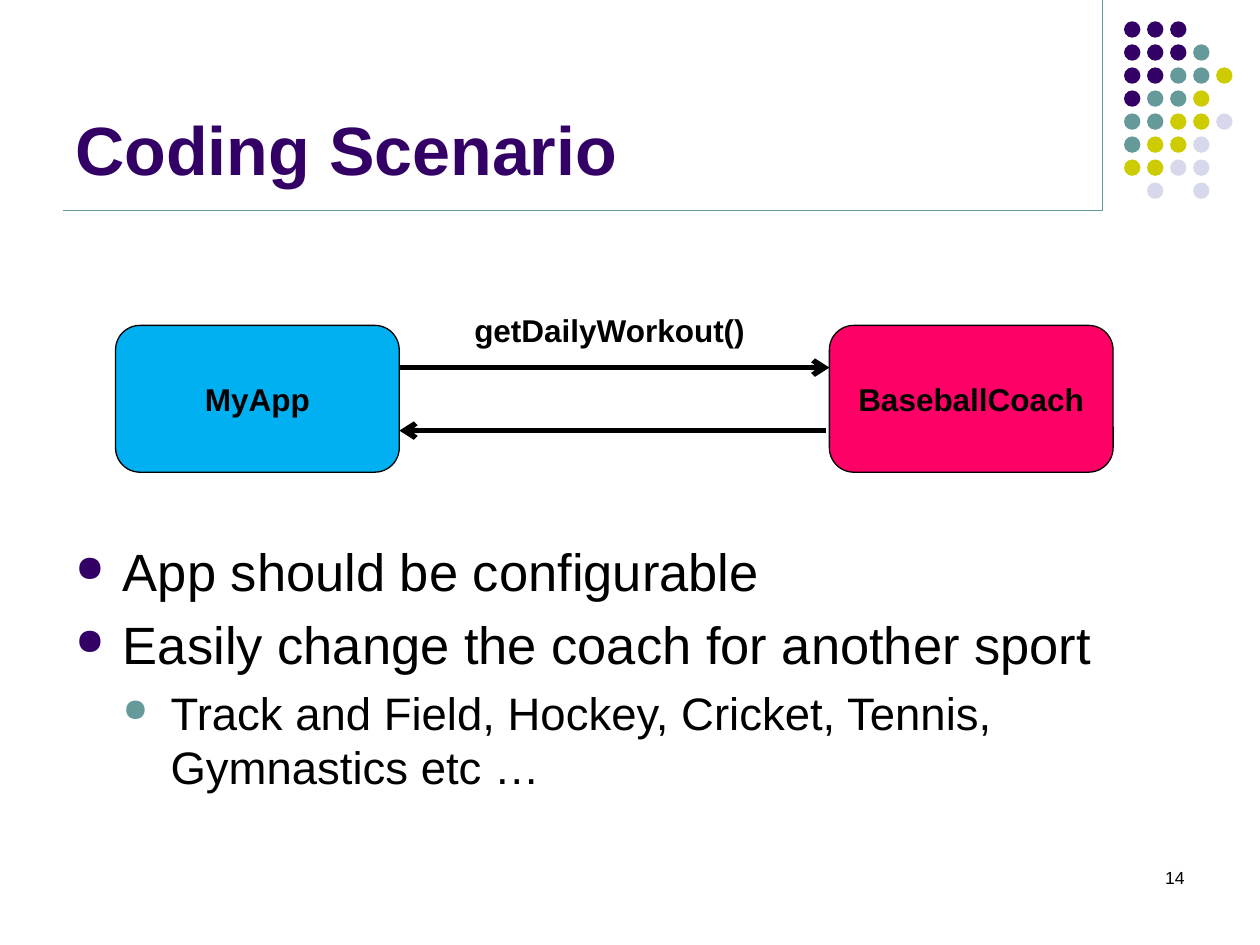
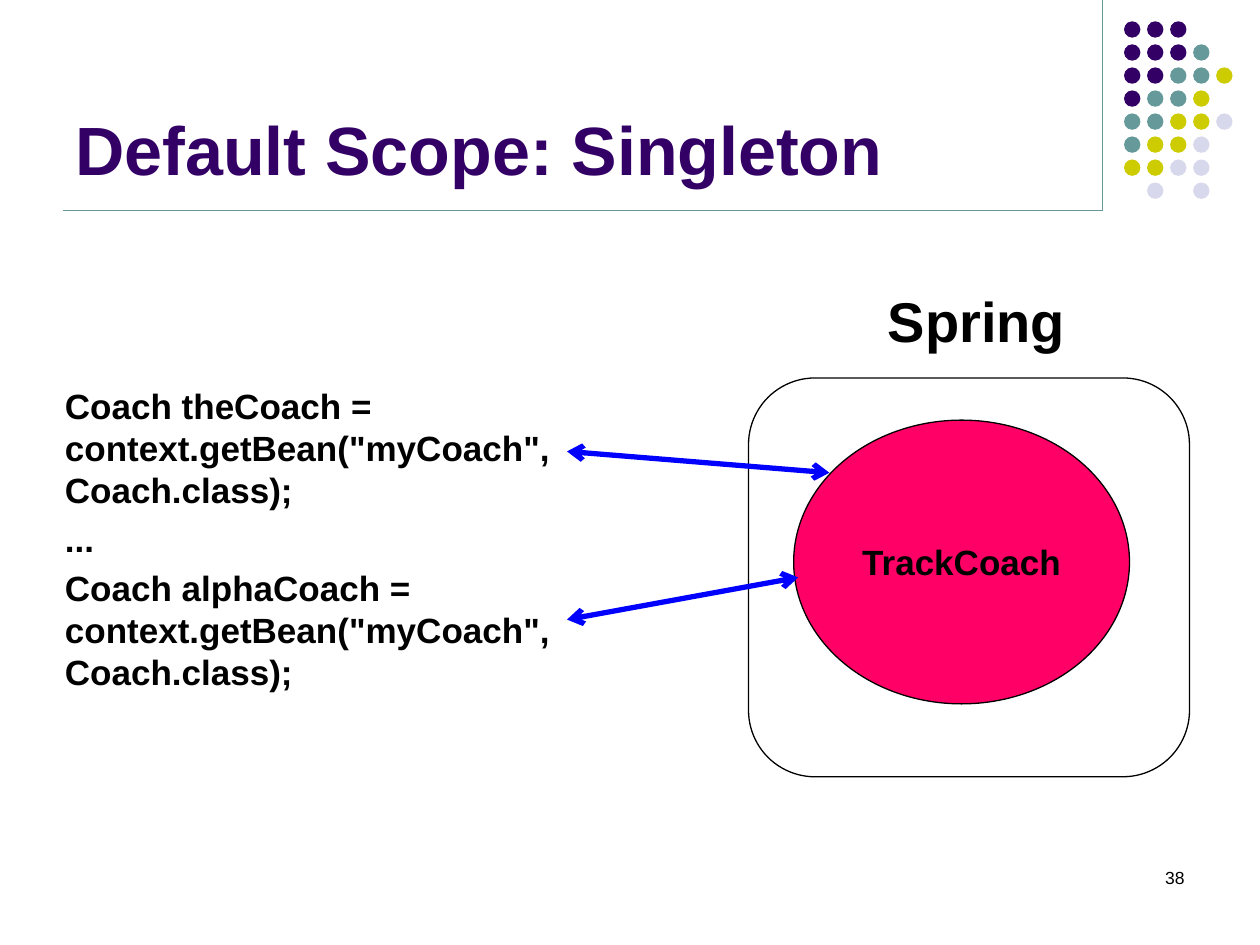
from lxml import etree
from pptx import Presentation
from pptx.dml.color import RGBColor
from pptx.enum.shapes import MSO_CONNECTOR, MSO_SHAPE
from pptx.enum.text import MSO_ANCHOR, PP_ALIGN
from pptx.oxml.ns import qn
from pptx.util import Cm, Pt

STRAIGHT = MSO_CONNECTOR.STRAIGHT
OVAL, ROUNDED = MSO_SHAPE.OVAL, MSO_SHAPE.ROUNDED_RECTANGLE
TOP, MIDDLE, BOTTOM = MSO_ANCHOR.TOP, MSO_ANCHOR.MIDDLE, MSO_ANCHOR.BOTTOM
LEFT, CENTER, RIGHT = PP_ALIGN.LEFT, PP_ALIGN.CENTER, PP_ALIGN.RIGHT

FONT = "Arial"
COLORS = {
    "purple": "330066",
    "teal": "669999",
    "olive": "CCCC00",
    "lavender": "D8D8EC",
    "black": "000000",
    "sky": "00B0F0",
    "pink": "FF0066",
    "blue": "0000FF",
}

# Frame and dot pattern shared by the slides
FRAME_LEFT, FRAME_RIGHT, FRAME_BOTTOM = 1.27, 22.23, 4.24
DOT_ROWS = ["PPP", "PPPT", "PPTTO", "PTTO", "TTOOL", "TOOL", "OOLL", " L L"]
DOT_COLORS = {"P": "purple", "T": "teal", "O": "olive", "L": "lavender"}
DOT_LEFT, DOT_TOP, DOT_SIZE = 22.66, 0.43, 0.33
DOT_PITCH = 3.25 / 7

# Bullet levels: text size, bullet colour
BULLET_LEVELS = [(30, "purple"), (26, "teal")]
BULLET_INDENT = 0.96


def rgb(name):
    return RGBColor.from_string(COLORS[name])


def style_paragraph(paragraph, size, color="black", bold=False, align=LEFT):
    paragraph.alignment = align
    font = paragraph.font
    font.name, font.size, font.bold = FONT, Pt(size), bold
    font.color.rgb = rgb(color)


def add_text(slide, box, lines, size, color="black", bold=False,
             align=LEFT, anchor=TOP):
    """Add a text box with one paragraph per line, spaced by a fifth."""
    shape = slide.shapes.add_textbox(*map(Cm, box))
    frame = shape.text_frame
    frame.word_wrap = True
    frame.vertical_anchor = anchor
    frame.text = "\n".join(lines)
    for index, paragraph in enumerate(frame.paragraphs):
        style_paragraph(paragraph, size, color, bold, align)
        if index:
            paragraph.space_before = Pt(size * 0.2)
    return shape


def add_bullets(slide, box, items):
    """Add bulleted text from (level, text) pairs."""
    shape = add_text(slide, box, [text for _, text in items], 30)
    for paragraph, (level, _) in zip(shape.text_frame.paragraphs, items):
        size, color = BULLET_LEVELS[level]
        paragraph.level = level
        paragraph.font.size = Pt(size)
        paragraph.space_before = Pt(size * 0.2)
        properties = paragraph._p.get_or_add_pPr()
        properties.set("marL", str(Cm(BULLET_INDENT * (level + 1))))
        properties.set("indent", str(-Cm(BULLET_INDENT)))
        bullet_color = etree.SubElement(properties, qn("a:buClr"))
        etree.SubElement(bullet_color, qn("a:srgbClr"), val=COLORS[color])
        etree.SubElement(properties, qn("a:buSzPct"), val="70000")
        etree.SubElement(properties, qn("a:buChar"), char="●")
        # The schema puts the default run properties after the bullet
        default_run = properties.find(qn("a:defRPr"))
        if default_run is not None:
            properties.append(default_run)


def add_node(slide, kind, box, fill=None, text="", size=18):
    """Add an outlined shape with an optional fill and bold label."""
    shape = slide.shapes.add_shape(kind, *map(Cm, box))
    shape.shadow.inherit = False
    shape.line.color.rgb = rgb("black")
    shape.line.width = Pt(0.75)
    if fill:
        shape.fill.solid()
        shape.fill.fore_color.rgb = rgb(fill)
    else:
        shape.fill.background()
    if text:
        frame = shape.text_frame
        frame.text = text
        frame.vertical_anchor = MIDDLE
        style_paragraph(frame.paragraphs[0], size, bold=True, align=CENTER)


def add_line(slide, start, end, color, width, arrows=()):
    """Add a line; arrows may name headEnd (start) and tailEnd (end)."""
    connector = slide.shapes.add_connector(STRAIGHT, *map(Cm, start + end))
    connector.line.color.rgb = rgb(color)
    connector.line.width = Pt(width)
    line = connector.line._get_or_add_ln()
    for arrow in arrows:
        etree.SubElement(line, qn(f"a:{arrow}"), type="arrow")
    etree.SubElement(connector._element.spPr, qn("a:effectLst"))


def add_dots(slide):
    group = slide.shapes.add_group_shape()
    for row, letters in enumerate(DOT_ROWS):
        for column, letter in enumerate(letters):
            if letter == " ":
                continue
            dot = group.shapes.add_shape(
                OVAL, Cm(DOT_LEFT + column * DOT_PITCH),
                Cm(DOT_TOP + row * DOT_PITCH), Cm(DOT_SIZE), Cm(DOT_SIZE))
            dot.shadow.inherit = False
            dot.fill.solid()
            dot.fill.fore_color.rgb = rgb(DOT_COLORS[letter])
            dot.line.fill.background()


def add_base_slide(presentation, title, number):
    """Add a slide with the frame lines, dots, title and page number."""
    slide = presentation.slides.add_slide(presentation.slide_layouts[6])
    corner = (FRAME_RIGHT, FRAME_BOTTOM)
    add_line(slide, (FRAME_RIGHT, 0), corner, "teal", 0.75)
    add_dots(slide)
    add_line(slide, (FRAME_LEFT, FRAME_BOTTOM), corner, "teal", 0.75)
    add_text(slide, (FRAME_LEFT, 0.33, 20.96, 3.61), [title], 39, "purple",
             bold=True, anchor=BOTTOM)
    add_text(slide, (18.21, 17.35, 5.92, 1.27), [str(number)], 10, align=RIGHT)
    return slide


def build_scenario_slide(presentation):
    slide = add_base_slide(presentation, "Coding Scenario", 14)
    add_bullets(slide, (1.27, 10.74, 22.86, 6.27), [
        (0, "App should be configurable"),
        (0, "Easily change the coach for another sport"),
        (1, "Track and Field, Hockey, Cricket, Tennis, Gymnastics etc …"),
    ])
    # Call from the app to the coach and back
    add_node(slide, ROUNDED, (2.33, 6.56, 5.72, 2.96), "sky", "MyApp")
    add_node(slide, ROUNDED, (16.72, 6.56, 5.72, 2.96), "pink", "BaseballCoach")
    add_line(slide, (8.05, 7.41), (16.72, 7.41), "black", 3, ["tailEnd"])
    add_line(slide, (16.66, 8.68), (8.05, 8.68), "black", 3, ["tailEnd"])
    add_text(slide, (8.69, 6.14, 7.2, 1.27), ["getDailyWorkout()"], 18,
             bold=True, align=CENTER)


def build_singleton_slide(presentation):
    slide = add_base_slide(presentation, "Default Scope: Singleton", 38)
    # Code that asks for the bean twice
    add_text(slide, (1.06, 7.62, 12.28, 7.49), [
        'Coach theCoach = context.getBean("myCoach", Coach.class);',
        "...",
        'Coach alphaCoach = context.getBean("myCoach", Coach.class);',
    ], 20, bold=True)
    # Container holding the single bean
    add_node(slide, ROUNDED, (15.09, 7.62, 8.89, 8.04))
    add_text(slide, (16.09, 5.72, 7.2, 1.48), ["Spring"], 32, bold=True,
             align=CENTER, anchor=MIDDLE)
    add_node(slide, OVAL, (16, 8.47, 6.77, 5.72), "pink", "TrackCoach", 20)
    # Both references reach the same bean
    for bean_end, code_end in [((16.72, 9.53), (11.43, 9.1)),
                               ((16.09, 11.64), (11.43, 12.49))]:
        add_line(slide, bean_end, code_end, "blue", 3, ["headEnd", "tailEnd"])


def main():
    presentation = Presentation()
    presentation.slide_width, presentation.slide_height = Cm(25.4), Cm(19.05)
    build_scenario_slide(presentation)
    build_singleton_slide(presentation)
    presentation.save("out.pptx")


if __name__ == "__main__":
    main()
